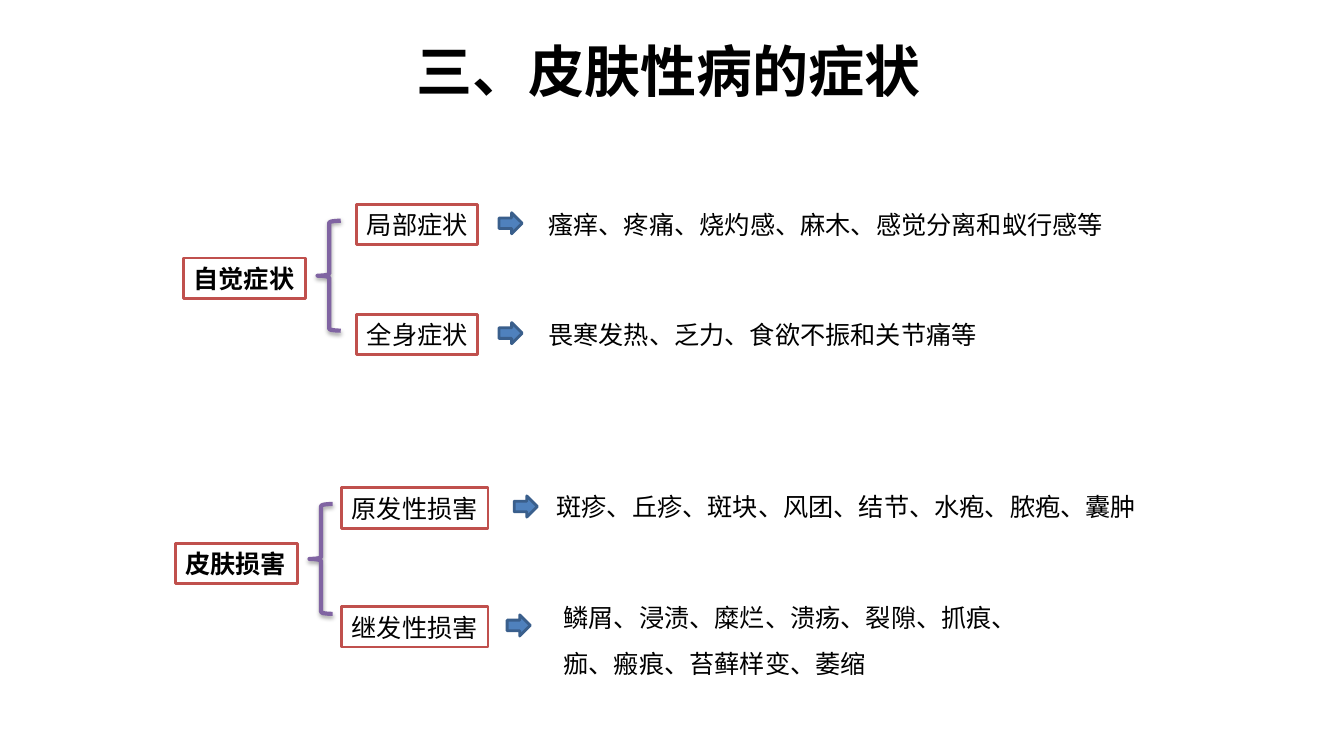
from lxml import etree
from pptx import Presentation
from pptx.dml.color import RGBColor
from pptx.enum import shapes, text
from pptx.oxml.ns import qn
from pptx.util import Inches, Pt

# Content: each branch has a left, top and width; lengths in inches
TITLE = "三、皮肤性病的症状"
GROUPS = [
    {"name": "自觉症状", "at": (1.82, 2.56), "brace": (3.15, 2.19), "branch_left": 3.54, "branch_width": 1.2,
     "branches": [
         {"name": "局部症状", "top": 2.03, "arrow_left": 4.95,
          "detail": "瘙痒、疼痛、烧灼感、麻木、感觉分离和蚁行感等",
          "box": (5.34, 2.03, 7.19, 0.4), "spacing": 1.0},
         {"name": "全身症状", "top": 3.12, "arrow_left": 4.95,
          "detail": "畏寒发热、乏力、食欲不振和关节痛等",
          "box": (5.34, 3.12, 4.84, 0.4), "spacing": 1.0},
     ]},
    {"name": "皮肤损害", "at": (1.74, 5.39), "brace": (3.07, 5.0), "branch_left": 3.39, "branch_width": 1.45,
     "branches": [
         {"name": "原发性损害", "top": 4.84, "arrow_left": 5.1,
          "detail": "斑疹、丘疹、斑块、风团、结节、水疱、脓疱、囊肿",
          "box": (5.42, 4.77, 6.02, 0.46), "spacing": 1.2},
         {"name": "继发性损害", "top": 6.02, "arrow_left": 5.03,
          "detail": "鳞屑、浸渍、糜烂、溃疡、裂隙、抓痕、痂、瘢痕、苔藓样变、萎缩",
          "box": (5.49, 5.78, 4.53, 1.0), "spacing": 1.5},
     ]},
]
COLORS = {"text": "000000", "box": "FFFFFF", "border": "C0504D", "arrow": "4F81BD",
          "arrow_edge": "3A5F8C", "brace": "8064A2", "shadow": "000000"}
FONT = "Calibri"
LABEL_HEIGHT = 0.4
GROUP_WIDTH = 1.21
BRACE_SIZE = (0.23, 1.09)
ARROW_SIZE = (0.23, 0.21)
ARROW_DROP = 0.08

prs = Presentation()
prs.slide_width, prs.slide_height = Inches(13.33), Inches(7.5)
slide = prs.slides.add_slide(prs.slide_layouts[6])


def color(key):
    return RGBColor.from_string(COLORS[key])


def write(shape, words, size=18, bold=False, align=text.PP_ALIGN.LEFT, spacing=1.0, wrap=True):
    frame = shape.text_frame
    frame.word_wrap = wrap
    frame.auto_size = text.MSO_AUTO_SIZE.SHAPE_TO_FIT_TEXT
    paragraph = frame.paragraphs[0]
    paragraph.text = words
    paragraph.alignment = align
    paragraph.line_spacing = spacing
    paragraph.font.name = FONT
    paragraph.font.size = Pt(size)
    paragraph.font.bold = bold
    paragraph.font.color.rgb = color("text")


def add_text(box, words, **style):
    write(slide.shapes.add_textbox(*map(Inches, box)), words, **style)


def add_preset(kind, box, line, weight, fill=None):
    shape = slide.shapes.add_shape(kind, *map(Inches, box))
    shape.shadow.inherit = False
    if fill:
        shape.fill.solid()
        shape.fill.fore_color.rgb = color(fill)
    else:
        shape.fill.background()
    shape.line.color.rgb = color(line)
    shape.line.width = Pt(weight)
    return shape


def add_label(box, words, bold=False):
    label = add_preset(shapes.MSO_SHAPE.RECTANGLE, box, "border", 2, "box")
    write(label, words, bold=bold, wrap=False)


def add_brace(left, top):
    brace = add_preset(shapes.MSO_SHAPE.LEFT_BRACE, (left, top, *BRACE_SIZE), "brace", 3)
    # Soft shadow straight below the brace
    effects = brace._element.spPr.find(qn("a:effectLst"))
    shadow = etree.SubElement(effects, qn("a:outerShdw"), blurRad=str(Pt(3.1)), dist=str(Pt(1.8)),
                              dir="5400000", rotWithShape="0")
    tint = etree.SubElement(shadow, qn("a:srgbClr"), val=COLORS["shadow"])
    etree.SubElement(tint, qn("a:alpha"), val="35000")


# Title
add_text((3.39, 0.31, 6.48, 0.77), TITLE, size=40, bold=True, align=text.PP_ALIGN.CENTER)

# Groups, each with a brace, its branches and their details
for group in GROUPS:
    add_label((*group["at"], GROUP_WIDTH, LABEL_HEIGHT), group["name"], bold=True)
    add_brace(*group["brace"])
    for branch in group["branches"]:
        add_label((group["branch_left"], branch["top"], group["branch_width"], LABEL_HEIGHT), branch["name"])
        add_preset(shapes.MSO_SHAPE.RIGHT_ARROW,
                   (branch["arrow_left"], branch["top"] + ARROW_DROP, *ARROW_SIZE), "arrow_edge", 2, "arrow")
        add_text(branch["box"], branch["detail"], spacing=branch["spacing"])

prs.save("out.pptx")
